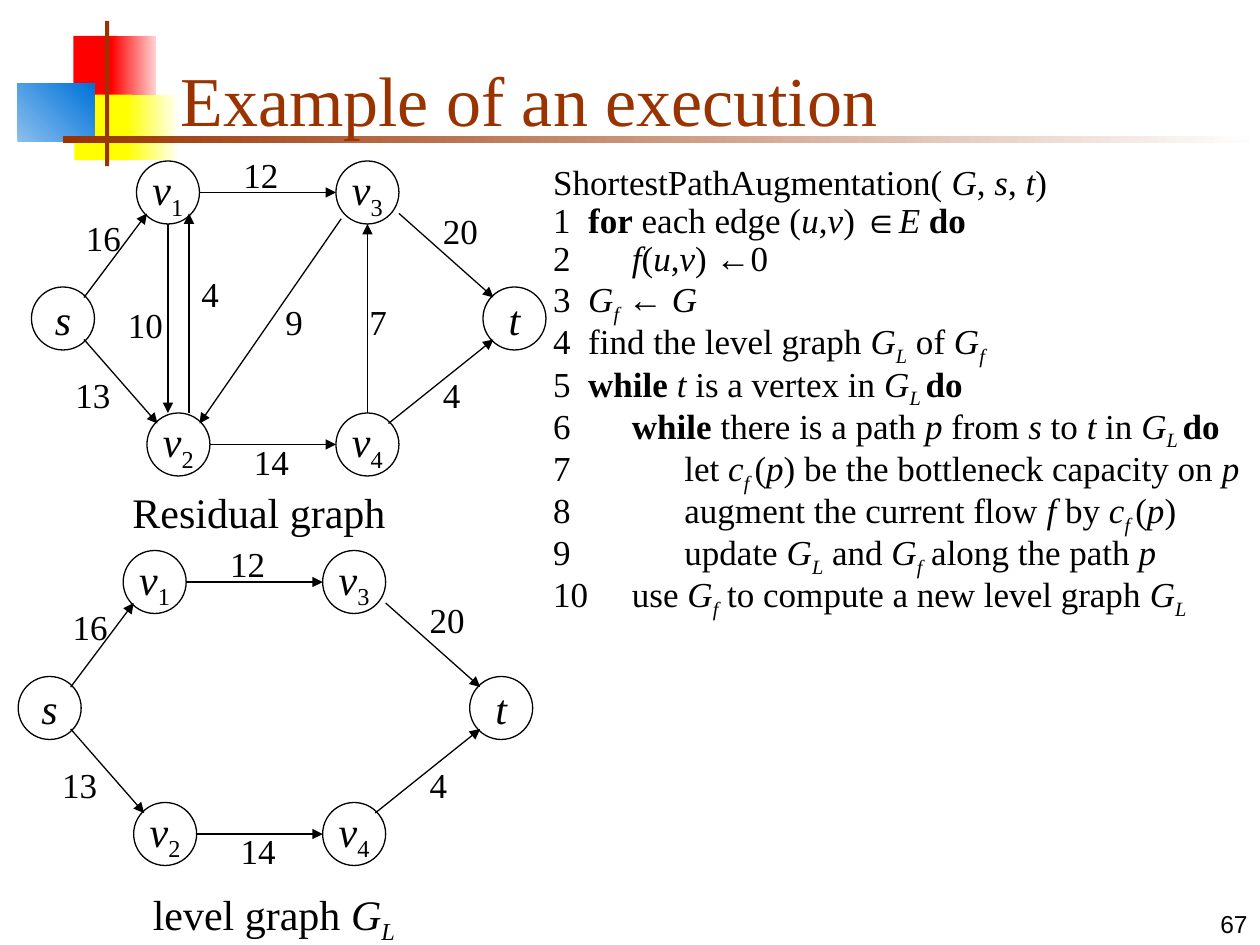
from typing import NamedTuple

from lxml.etree import SubElement
from pptx import Presentation
from pptx.dml.color import RGBColor
from pptx.enum.shapes import MSO_CONNECTOR, MSO_SHAPE as Shape
from pptx.enum.text import MSO_ANCHOR as Anchor, PP_ALIGN as Align
from pptx.oxml.ns import qn
from pptx.util import Pt

SERIF = "Times New Roman"
BLACK = "000000"
BROWN = "993300"


class Bar(NamedTuple):
    x: float
    y: float
    w: float
    h: float
    fill: str
    fade: str = ""
    angle: float = 0


class Node(NamedTuple):
    name: str
    x: float
    y: float


class Edge(NamedTuple):
    x1: float
    y1: float
    x2: float
    y2: float
    cost: str
    cost_x: float
    cost_y: float


class Step(NamedTuple):
    text: str
    level: int = 0


BARS = [
    Bar(42, 20.5, 25, 37.5, "FF0000"),
    Bar(63.5, 20.5, 25.5, 37.5, "FF0000", "FFD1D1"),
    Bar(42.5, 54, 33, 37.5, "FFFF00"),
    Bar(72, 54, 29, 37.5, "FFFF00", "FFFFF0"),
    Bar(10, 48, 44, 33, "8BBFEE", "0073D9", 45),
    Bar(60, 12, 2.4, 83, BROWN),
    Bar(36, 77.6, 684, 4, BROWN, "FFFFFF"),
]
SIZE = 36
NODES = [
    Node("*s*", 18, 164), Node("*v*_1_", 78, 92), Node("*v*_2_", 84, 236),
    Node("*v*_3_", 192, 92), Node("*v*_4_", 192, 236), Node("*t*", 276, 164),
]
LEVEL = [
    Edge(48, 170, 84, 122, "16", 42, 120),
    Edge(114, 110, 192, 110, "12", 132, 84),
    Edge(228, 122, 282, 170, "20", 246, 116),
    Edge(48, 194, 90, 242, "13", 36, 210),
    Edge(120, 254, 192, 254, "14", 138, 248),
    Edge(222, 242, 282, 194, "4", 246, 210),
]
INNER = [
    Edge(210, 236, 210, 128, "7", 204, 168),
    Edge(195, 125, 114, 242, "9", 156, 168),
    Edge(96, 128, 96, 236, "10", 66, 170),
    Edge(108, 236, 108, 122, "4", 108, 152),
]
INDENTS = [0, 20, 45, 75]
STEPS = [
    Step("ShortestPathAugmentation( *G*, *s*,* t*)"),
    Step("1\t^for^ each edge (*u*,*v*) ∈*E *^do^", 1),
    Step("2\t*f*(*u*,*v*) ←0", 2),
    Step("3\t*G_f_* ← *G*", 1),
    Step("4\tfind the level graph *G_L_* of *G_f_*", 1),
    Step("5\t^while ^*t* is a vertex in *G_L _*^do^", 1),
    Step("6\t^while^ there is a path *p* from *s *to *t* in *G_L _*^do^", 2),
    Step("7\tlet *c_f _*(*p*) be the bottleneck capacity on *p*", 3),
    Step("8\taugment the current flow *f* by *c_f _*(*p*)", 3),
    Step("9\tupdate *G_L_* and *G_f_* along the path *p*", 3),
    Step("10\tuse *G_f_* to compute a new level graph *G_L_*", 2),
]


def rgb(code: str) -> RGBColor:
    return RGBColor.from_string(code)


def write(para, text: str, size: float, color: str = BLACK, face: str = SERIF) -> None:
    """Add runs; * toggles italic, ^ bold and _ subscript."""
    on = {"*": False, "^": False, "_": False}
    part = ""
    for char in text + "*":
        if char not in on:
            part += char
            continue
        if part:
            run = para.add_run()
            run.text = part
            font = run.font
            font.name, font.size, font.color.rgb = face, Pt(size), rgb(color)
            font.italic, font.bold = on["*"], on["^"]
            if on["_"]:
                run._r.get_or_add_rPr().set("baseline", "-25000")
        part = ""
        on[char] = not on[char]


def add_text(slide, x: float, y: float, w: float, h: float, text: str, size: float,
             color: str = BLACK, face: str = SERIF, align=Align.LEFT,
             anchor=Anchor.TOP) -> None:
    frame = slide.shapes.add_textbox(Pt(x), Pt(y), Pt(w), Pt(h)).text_frame
    frame.word_wrap = True
    frame.vertical_anchor = anchor
    para = frame.paragraphs[0]
    para.alignment = align
    write(para, text, size, color, face)


def add_bar(slide, bar: Bar) -> None:
    shape = slide.shapes.add_shape(Shape.RECTANGLE, Pt(bar.x), Pt(bar.y), Pt(bar.w), Pt(bar.h))
    shape.shadow.inherit = False
    shape.line.fill.background()
    fill = shape.fill
    if bar.fade:
        fill.gradient()
        fill.gradient_angle = bar.angle
        for stop, code in zip(fill.gradient_stops, (bar.fill, bar.fade)):
            stop.color.rgb = rgb(code)
    else:
        fill.solid()
        fill.fore_color.rgb = rgb(bar.fill)


def add_node(slide, node: Node, dx: float, dy: float) -> None:
    shape = slide.shapes.add_shape(
        Shape.OVAL, Pt(node.x + dx), Pt(node.y + dy), Pt(SIZE), Pt(SIZE))
    shape.shadow.inherit = False
    shape.fill.background()
    shape.line.color.rgb = rgb(BLACK)
    shape.line.width = Pt(0.75)
    frame = shape.text_frame
    frame.word_wrap = False
    frame.vertical_anchor = Anchor.MIDDLE
    para = frame.paragraphs[0]
    para.alignment = Align.CENTER
    write(para, node.name, 24)


def add_edge(slide, edge: Edge, dx: float, dy: float) -> None:
    link = slide.shapes.add_connector(
        MSO_CONNECTOR.STRAIGHT, Pt(edge.x1 + dx), Pt(edge.y1 + dy),
        Pt(edge.x2 + dx), Pt(edge.y2 + dy))
    link.line.color.rgb = rgb(BLACK)
    link.line.width = Pt(0.75)
    SubElement(link.line._get_or_add_ln(), qn("a:tailEnd"), type="triangle")
    SubElement(link._element.spPr, qn("a:effectLst"))
    add_text(slide, edge.cost_x + dx, edge.cost_y + dy, 38, 31.5, edge.cost, 20)


def add_graph(slide, edges: list[Edge], dx: float = 0, dy: float = 0) -> None:
    for node in NODES:
        add_node(slide, node, dx, dy)
    for edge in edges:
        add_edge(slide, edge, dx, dy)


def add_steps(slide) -> None:
    frame = slide.shapes.add_textbox(Pt(309), Pt(94.5), Pt(411), Pt(272)).text_frame
    frame.word_wrap = True
    for i, step in enumerate(STEPS):
        para = frame.add_paragraph() if i else frame.paragraphs[0]
        para.line_spacing = 0.7
        para.space_before = Pt(5 if i else 0)
        left = Pt(INDENTS[step.level])
        props = para._p.get_or_add_pPr()
        props.set("marL", str(left))
        props.set("indent", str(-left))
        write(para, step.text, 20)


def main() -> None:
    deck = Presentation()
    deck.slide_width, deck.slide_height = Pt(720), Pt(540)
    slide = deck.slides.add_slide(deck.slide_layouts[6])
    for bar in BARS:
        add_bar(slide, bar)
    add_text(slide, 570, 504, 150, 36, "67", 14, face="Arial",
             align=Align.RIGHT, anchor=Anchor.BOTTOM)
    add_text(slide, 96, 18, 613, 66, "Example of an execution", 40, BROWN,
             anchor=Anchor.BOTTOM)
    add_graph(slide, LEVEL + INNER)
    add_graph(slide, LEVEL, -7.6, 222.6)
    add_text(slide, 65.5, 274.5, 165, 36, "Residual graph", 24, align=Align.CENTER)
    add_text(slide, 80, 504, 153, 40, "level graph *G_L_*", 24, align=Align.CENTER)
    add_steps(slide)
    deck.save("out.pptx")


if __name__ == "__main__":
    main()
